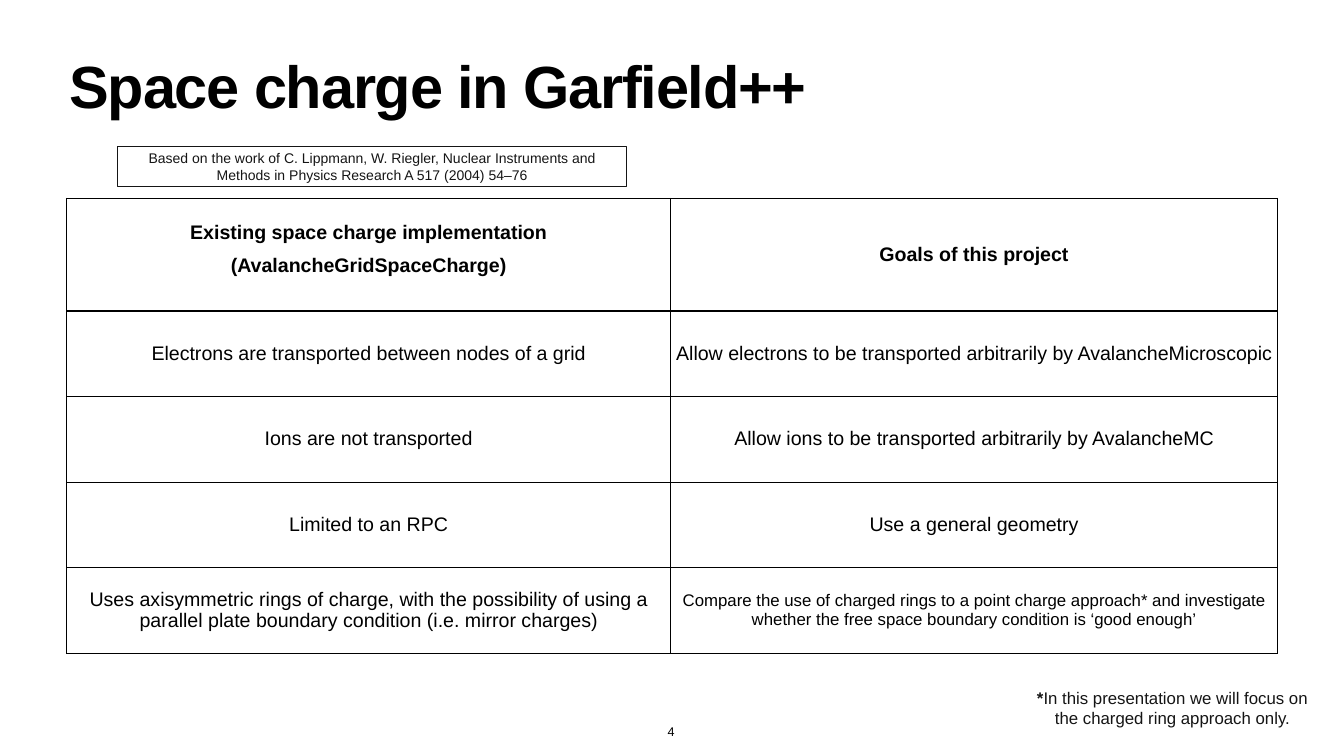
from lxml.etree import SubElement
from pptx import Presentation
from pptx.dml.color import RGBColor
from pptx.enum.shapes import MSO_SHAPE as SHAPE
from pptx.enum.text import MSO_ANCHOR as ANCHOR, MSO_AUTO_SIZE as AUTO, PP_ALIGN as ALIGN
from pptx.oxml.ns import qn
from pptx.util import Cm, Pt

BLACK = RGBColor(0, 0, 0)
INK = RGBColor(0x15, 0x15, 0x15)

TITLE = "Space charge in Garfield++"
CITATION = ("Based on the work of C. Lippmann, W. Riegler, Nuclear Instruments and "
            "Methods in Physics Research A 517 (2004) 54–76")
FOOTNOTE = [("*", True),
            ("In this presentation we will focus on the charged ring approach only.", False)]
PAGE = "4"
HEADER = [["Existing space charge implementation", "(AvalancheGridSpaceCharge)"],
          ["Goals of this project"]]
ROWS = [
    ("Electrons are transported between nodes of a grid",
     "Allow electrons to be transported arbitrarily by AvalancheMicroscopic"),
    ("Ions are not transported",
     "Allow ions to be transported arbitrarily by AvalancheMC"),
    ("Limited to an RPC", "Use a general geometry"),
    ("Uses axisymmetric rings of charge, with the possibility of using a "
     "parallel plate boundary condition (i.e. mirror charges)",
     "Compare the use of charged rings to a point charge approach* and investigate "
     "whether the free space boundary condition is ‘good enough’"),
]
COL_WIDTHS = (30.45, 30.58)
HEADER_HEIGHT, ROW_HEIGHT = 5.69, 4.31
THIN, THICK = 0.75, 2.25


def apply(obj, values):
    for name, value in values.items():
        setattr(obj, name, value)


def margins(cm):
    return {f"margin_{side}": Cm(cm) for side in ("left", "top", "right", "bottom")}


def add_run(p, text, size, color=BLACK, bold=False):
    r = p.add_run()
    r.text = text
    apply(r.font, {"name": "Arial", "size": Pt(size), "bold": bold})
    r.font.color.rgb = color
    return r


def set_borders(cell, widths):
    tc_pr = cell._tc.get_or_add_tcPr()
    for i, (side, width) in enumerate(widths.items()):
        ln = SubElement(tc_pr, qn(f"a:ln{side}"), w=str(Pt(width)))
        fill = SubElement(ln, qn("a:solidFill"))
        SubElement(fill, qn("a:srgbClr"), val=str(BLACK))
        tc_pr.insert(i, ln)


def fill_cell(cell, lines, size, bold, widths):
    cell.fill.background()
    set_borders(cell, widths)
    apply(cell, {**margins(0.1), "vertical_anchor": ANCHOR.MIDDLE})
    tf = cell.text_frame
    for i, line in enumerate(lines):
        p = tf.add_paragraph() if i else tf.paragraphs[0]
        p.alignment = ALIGN.CENTER
        if i:
            p.line_spacing = 1.5
        add_run(p, line, size, bold=bold)


def add_title(slide):
    sp = slide.shapes.title
    apply(sp, {"left": Cm(3.35), "top": Cm(3), "width": Cm(61.04), "height": Cm(3.99)})
    tf = sp.text_frame
    apply(tf, {**margins(0.15), "vertical_anchor": ANCHOR.TOP,
               "auto_size": AUTO.NONE, "word_wrap": True})
    p = tf.paragraphs[0]
    apply(p, {"alignment": ALIGN.LEFT, "line_spacing": 0.8})
    r = add_run(p, TITLE, 85, bold=True)
    r._r.get_or_add_rPr().set("spc", "-170")


def add_comparison(slide):
    height = HEADER_HEIGHT + ROW_HEIGHT * len(ROWS)
    table = slide.shapes.add_table(len(ROWS) + 1, len(COL_WIDTHS), Cm(3.35), Cm(9.98),
                                   Cm(sum(COL_WIDTHS)), Cm(height)).table
    apply(table, {"first_row": False, "horz_banding": False})
    for column, width in zip(table.columns, COL_WIDTHS):
        column.width = Cm(width)
    for i, row in enumerate(table.rows):
        row.height = Cm(ROW_HEIGHT if i else HEADER_HEIGHT)
        widths = {"L": THIN, "R": THIN, "T": THICK if i == 1 else THIN,
                  "B": THIN if i else THICK}
        for j, cell in enumerate(row.cells):
            lines = [ROWS[i - 1][j]] if i else HEADER[j]
            last = (i, j) == (len(ROWS), len(COL_WIDTHS) - 1)
            fill_cell(cell, lines, 24 if last else 28, i == 0, widths)
    table.cell(0, 0).margin_bottom = Cm(0.66)


def add_page_number(slide):
    tf = slide.shapes.add_textbox(Cm(33.32), Cm(36.35), Cm(1.02), Cm(1.04)).text_frame
    apply(tf, {**margins(0.15), "vertical_anchor": ANCHOR.BOTTOM, "word_wrap": False})
    p = tf.paragraphs[0]
    p.alignment = ALIGN.CENTER
    add_run(p, PAGE, 18)


def add_footnote(slide):
    tf = slide.shapes.add_textbox(Cm(51.79), Cm(34.54), Cm(14.6), Cm(2.31)).text_frame
    tf.word_wrap = True
    p = tf.paragraphs[0]
    p.alignment = ALIGN.CENTER
    for text, bold in FOOTNOTE:
        add_run(p, text, 24, INK, bold)


def add_citation(slide):
    sp = slide.shapes.add_shape(SHAPE.RECTANGLE, Cm(5.94), Cm(7.37), Cm(25.65), Cm(2))
    sp.shadow.inherit = False
    sp.fill.background()
    sp.line.color.rgb = INK
    sp.line.width = Pt(1)
    tf = sp.text_frame
    apply(tf, {**margins(0.15), "vertical_anchor": ANCHOR.MIDDLE, "word_wrap": True})
    p = tf.paragraphs[0]
    p.alignment = ALIGN.CENTER
    add_run(p, CITATION, 20, INK)


def main():
    prs = Presentation()
    apply(prs, {"slide_width": Cm(67.74), "slide_height": Cm(38.1)})
    slide = prs.slides.add_slide(prs.slide_layouts[5])
    add_title(slide)
    add_comparison(slide)
    add_page_number(slide)
    add_footnote(slide)
    add_citation(slide)
    prs.save("out.pptx")


if __name__ == "__main__":
    main()
